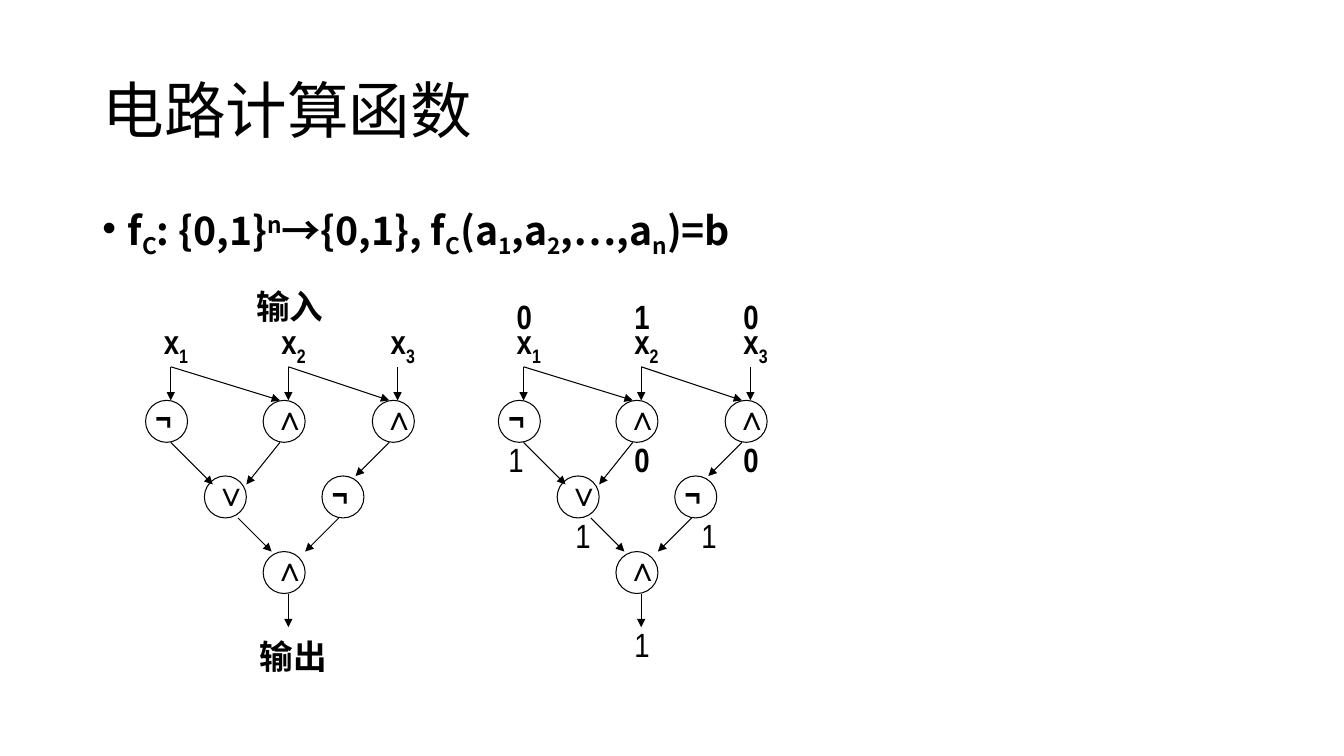
"""Build a slide showing how a Boolean circuit computes a function."""
from lxml import etree
from pptx import Presentation
from pptx.dml.color import RGBColor
from pptx.enum.shapes import MSO_CONNECTOR, MSO_SHAPE
from pptx.enum.text import MSO_ANCHOR, MSO_AUTO_SIZE, PP_ALIGN
from pptx.oxml.ns import qn
from pptx.util import Pt

OVAL = MSO_SHAPE.OVAL
STRAIGHT = MSO_CONNECTOR.STRAIGHT
MIDDLE = MSO_ANCHOR.MIDDLE
NO_FIT = MSO_AUTO_SIZE.NONE
LEFT = PP_ALIGN.LEFT

COLORS = {"ink": "000000"}
CJK_FONT = "Noto Sans CJK SC"
LABEL_FONT = "Arial Narrow"
SUB, SUPER = -25000, 30000
TITLE_FORMAT = {"size": Pt(44), "name": CJK_FONT, "bold": False}
BODY_FORMAT = {"size": Pt(28), "name": CJK_FONT, "bold": True}
LABEL_FORMAT = {"size": Pt(24), "name": LABEL_FONT, "bold": True}
PLAIN_FORMAT = {**LABEL_FORMAT, "bold": False}

FORMULA = [
    ("f", 0), ("C", SUB), (": {0,1}", 0), ("n", SUPER), ("→{0,1}, f", 0),
    ("C", SUB), ("(a", 0), ("1", SUB), (",a", 0), ("2", SUB),
    (",…,a", 0), ("n", SUB), (")=b", 0),
]

CIRCUIT_LEFTS = (104, 356)
INPUT_TOP, GATE_TOP, ROW_STEP, GATE_SIZE = 262, 286, 54, 30
INPUT_LEFTS = (18, 102, 180)
GATES = [
    ("¬", 0, 0), ("∧", 84, 0), ("∧", 162, 0),
    ("∨", 42, 1), ("¬", 126, 1), ("∧", 84, 2),
]
WIRES = [
    (18, 262, 96, 286), (102, 262, 174, 286),
    (18, 316, 48, 346), (96, 316, 72, 346), (174, 316, 150, 340),
    (66, 370, 90, 394), (138, 370, 114, 394), (102, 424, 102, 448),
]
VALUES = [
    ("0", 6, 208, LABEL_FORMAT), ("1", 90, 208, LABEL_FORMAT),
    ("0", 168, 208, LABEL_FORMAT), ("1", 0, 310, PLAIN_FORMAT),
    ("0", 90, 310, LABEL_FORMAT), ("0", 168, 310, LABEL_FORMAT),
    ("1", 48, 364, PLAIN_FORMAT), ("1", 138, 364, PLAIN_FORMAT),
    ("1", 90, 442, PLAIN_FORMAT),
]


def add_spans(para, pieces, font_format):
    """Add runs of (text, baseline) to a paragraph."""
    for text, baseline in pieces:
        span = para.add_run()
        span.text = text
        for name, value in font_format.items():
            setattr(span.font, name, value)
        span.font.color.rgb = RGBColor.from_string(COLORS["ink"])
        properties = span.font._element
        etree.SubElement(properties, qn("a:ea"), typeface=CJK_FONT)
        if baseline:
            properties.set("baseline", str(baseline))


def add_text(shapes, pieces, left, top, width, height, font_format):
    """Add a wrapping text box and return its paragraph."""
    box = shapes.add_textbox(Pt(left), Pt(top), Pt(width), Pt(height))
    box.text_frame.word_wrap = True
    para = box.text_frame.paragraphs[0]
    add_spans(para, pieces, font_format)
    return para


def add_title(page, text):
    """Place and fill the title placeholder."""
    title = page.shapes.title
    place = {"left": 66, "top": 28.8, "width": 828, "height": 104.4}
    for name, value in place.items():
        setattr(title, name, Pt(value))
    title.text_frame.vertical_anchor = MIDDLE
    title.text_frame.auto_size = NO_FIT
    para = title.text_frame.paragraphs[0]
    para.alignment = LEFT
    para.line_spacing = 0.9
    add_spans(para, [(text, 0)], TITLE_FORMAT)


def add_formula(page):
    """Add the bulleted definition of the function."""
    para = add_text(page.shapes, FORMULA, 66, 144, 828, 342.72, BODY_FORMAT)
    para.line_spacing = 0.9
    para.space_before = Pt(10)
    properties = para._p.get_or_add_pPr()
    properties.set("marL", str(Pt(18)))
    properties.set("indent", str(-Pt(18)))
    etree.SubElement(properties, qn("a:buFont"), typeface="Arial")
    etree.SubElement(properties, qn("a:buChar"), char="•")


def add_gate(shapes, symbol, left, top):
    """Add a round gate with its logic symbol."""
    gate = shapes.add_shape(OVAL, Pt(left), Pt(top), Pt(GATE_SIZE), Pt(GATE_SIZE))
    gate.shadow.inherit = False
    gate.fill.background()
    gate.line.color.rgb = RGBColor.from_string(COLORS["ink"])
    gate.line.width = Pt(0.75)
    add_text(shapes, [(symbol, 0)], left, top - 6, 36, 36, LABEL_FORMAT)


def add_wire(shapes, x1, y1, x2, y2):
    """Add a thin arrow between two points."""
    wire = shapes.add_connector(STRAIGHT, Pt(x1), Pt(y1), Pt(x2), Pt(y2))
    wire.line.color.rgb = RGBColor.from_string(COLORS["ink"])
    wire.line.width = Pt(0.75)
    etree.SubElement(wire.line._get_or_add_ln(), qn("a:tailEnd"), type="triangle")
    etree.SubElement(wire._element.spPr, qn("a:effectLst"))


def add_circuit(page, left):
    """Add one circuit as a group and return the shapes of the group."""
    shapes = page.shapes.add_group_shape().shapes
    for symbol, x, row in GATES:
        add_gate(shapes, symbol, left + x, GATE_TOP + row * ROW_STEP)
    for x1, y1, x2, y2 in WIRES:
        add_wire(shapes, left + x1, y1, left + x2, y2)
    for number, x in enumerate(INPUT_LEFTS, start=1):
        add_wire(shapes, left + x, INPUT_TOP, left + x, GATE_TOP)
        pieces = [("x", 0), (str(number), SUB)]
        add_text(shapes, pieces, left + x - 12, 226, 42, 36, LABEL_FORMAT)
    return shapes


def main():
    """Build and save the deck."""
    deck = Presentation()
    deck.slide_width, deck.slide_height = Pt(960), Pt(540)
    page = deck.slides.add_slide(deck.slide_layouts.get_by_name("Title Only"))
    add_title(page, "电路计算函数")
    add_formula(page)
    general, example = [add_circuit(page, left) for left in CIRCUIT_LEFTS]
    add_text(general, [("输入", 0)], 176, 201, 84, 36, LABEL_FORMAT)
    add_text(general, [("输出", 0)], 178.5, 451, 84, 36, LABEL_FORMAT)
    for value, x, top, font_format in VALUES:
        left = CIRCUIT_LEFTS[1] + x
        add_text(example, [(value, 0)], left, top, 36, 36, font_format)
    deck.save("out.pptx")


if __name__ == "__main__":
    main()
